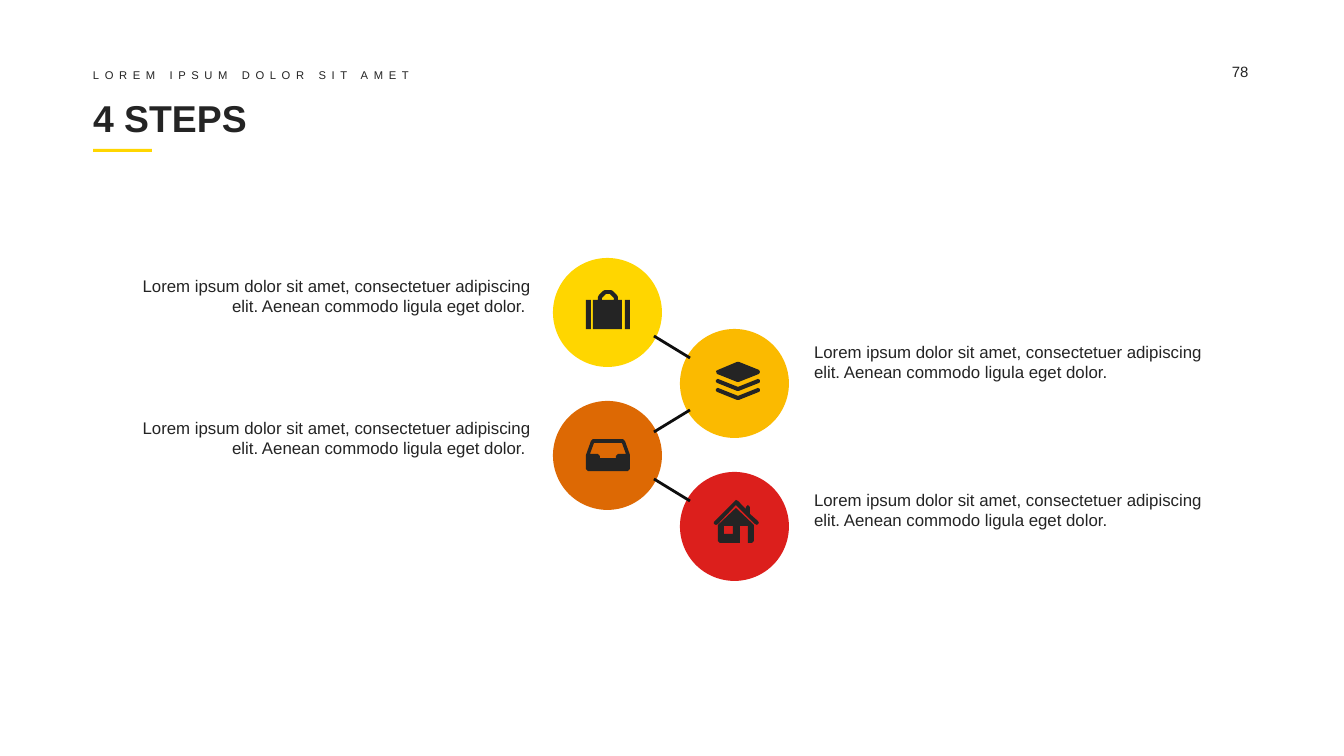
from math import cos, pi, sin

from pptx import Presentation
from pptx.dml.color import RGBColor
from pptx.enum.shapes import MSO_CONNECTOR, MSO_SHAPE
from pptx.enum.text import MSO_ANCHOR as Anchor, PP_ALIGN as Align
from pptx.oxml.ns import qn
from pptx.util import Emu, Pt
from lxml.etree import SubElement

EMU_PER_PX = 914400 / 134.4
FONT = "Arial"
INK = RGBColor(0x24, 0x24, 0x24)
LINK = RGBColor(0x0E, 0x0E, 0x0E)
YELLOW = RGBColor(0xFF, 0xD6, 0x00)
AMBER = RGBColor(0xFB, 0xBA, 0x00)
ORANGE = RGBColor(0xDD, 0x69, 0x04)
RED = RGBColor(0xDC, 0x1F, 0x1C)


def px(*lengths):
    return [Emu(round(length * EMU_PER_PX)) for length in lengths]


def box(left, top, right, bottom):
    """Corner points of a rectangle."""
    return [(left, top), (right, top), (right, bottom), (left, bottom)]


def dome(cx, cy, radius, steps=12):
    """Points of an upper half circle, from left to right."""
    angles = [pi * (1 - i / steps) for i in range(steps + 1)]
    return [(cx + radius * cos(a), cy - radius * sin(a)) for a in angles]


def chevron(top):
    """One lower sheet of the stack, with blunt ends."""
    outline = [(716, 1), (718, 0), (738, 8), (758, 0), (760, 1), (760, 3),
               (759, 4), (739, 12), (737, 12), (717, 4), (716, 3)]
    return [(x, top + y) for x, y in outline]


class SlideBuilder:
    def __init__(self, slide):
        self.shapes = slide.shapes

    def paint(self, shape, color):
        shape.shadow.inherit = False
        shape.fill.solid()
        shape.fill.fore_color.rgb = color
        shape.line.fill.background()

    def preset(self, kind, left, top, width, height, color):
        self.paint(self.shapes.add_shape(kind, *px(left, top, width, height)), color)

    def icon(self, contours):
        """Draw closed contours as one shape; inner contours become holes."""
        first, *others = contours
        builder = self.shapes.build_freeform(*first[0], scale=EMU_PER_PX)
        builder.add_line_segments(first[1:], close=True)
        for contour in others:
            builder.move_to(*contour[0])
            builder.add_line_segments(contour[1:], close=True)
        self.paint(builder.convert_to_shape(), INK)

    def link(self, start, end):
        line = self.shapes.add_connector(MSO_CONNECTOR.STRAIGHT, *px(*start, *end))
        line.line.color.rgb = LINK
        line.line.width = Pt(1.5)
        SubElement(line._element.spPr, qn("a:effectLst"))

    def text(self, words, left, top, width, height, *, size, bold=False,
             align=Align.LEFT, anchor=Anchor.TOP, inset=(0, 0), spacing=None):
        frame = self.shapes.add_textbox(*px(left, top, width, height)).text_frame
        frame.word_wrap = True
        frame.vertical_anchor = anchor
        side, edge = px(*inset)
        frame.margin_left = frame.margin_right = side
        frame.margin_top = frame.margin_bottom = edge
        paragraph = frame.paragraphs[0]
        paragraph.alignment = align
        run = paragraph.add_run()
        run.text = words
        run.font.name = FONT
        run.font.size = Pt(size)
        run.font.bold = bold
        run.font.color.rgb = INK
        if spacing:
            run._r.get_or_add_rPr().set("spc", str(spacing * 100))


SUITCASE = [
    box(586, 300, 591, 329),
    [(593, 329), (593, 300), *dome(608, 300, 10), (622, 300), (622, 329)],
    dome(608, 300, 6),
    box(625, 300, 630, 329),
]
LAYERS = [
    [(716, 371), (718, 370), (737, 362), (739, 362), (759, 370),
     (760, 372), (759, 374), (739, 382), (737, 382), (717, 374)],
    chevron(379),
    chevron(388),
]
INBOX = [
    [(586, 455), (591, 441), (593, 439), (623, 439), (625, 441), (630, 455),
     (630, 469), (628, 471), (588, 471), (586, 469)],
    [(594, 443), (590, 454), (598, 454), (600, 456), (600, 458),
     (616, 458), (616, 456), (618, 454), (626, 454), (622, 443)],
]
HOUSE = [
    [(714, 522), (735, 501), (736, 500), (738, 501), (746, 509), (746, 507),
     (748, 505), (750, 507), (750, 514), (758, 521), (759, 523), (757, 525),
     (755, 524), (736, 505), (718, 524), (716, 525), (714, 524)],
    [(736, 508), (754, 525), (754, 541), (752, 543), (748, 543), (748, 526),
     (740, 526), (740, 543), (720, 543), (718, 541), (718, 525)],
    box(724, 526, 733, 534),
]
STEP_TEXT = ("Lorem ipsum dolor sit amet, consectetuer adipiscing elit. "
             "Aenean commodo ligula eget dolor.")
# circle color, icon, top of the text
STEPS = [(YELLOW, SUITCASE, 271), (AMBER, LAYERS, 337),
         (ORANGE, INBOX, 413), (RED, HOUSE, 485)]
# height of each link's left and right end
LINK_ENDS = [(336, 358), (432, 410), (479, 501)]


def main():
    deck = Presentation()
    deck.slide_width, deck.slide_height = px(1344, 756)
    page = SlideBuilder(deck.slides.add_slide(deck.slide_layouts[6]))

    page.text("LOREM IPSUM DOLOR SIT AMET", 93, 69, 964, 13, size=6,
              anchor=Anchor.MIDDLE, spacing=3)
    page.text("4 STEPS", 93, 93, 1158, 50, size=20, bold=True, anchor=Anchor.MIDDLE)
    page.preset(MSO_SHAPE.RECTANGLE, 93, 149, 59, 3, YELLOW)
    page.text("78", 1232, 63, 58, 22, size=8)

    for i, (color, _, _) in enumerate(STEPS):
        page.preset(MSO_SHAPE.OVAL, 680 if i % 2 else 553, 258 + i * 143 // 2,
                    109, 109, color)
    for left_y, right_y in LINK_ENDS:
        page.link((654, left_y), (690, right_y))
    for i, (_, icon, text_top) in enumerate(STEPS):
        on_right = i % 2
        page.icon(icon)
        page.text(STEP_TEXT if on_right else STEP_TEXT + " ",
                  804 if on_right else 130, text_top, 410, 51, size=9,
                  align=Align.LEFT if on_right else Align.RIGHT, inset=(10, 5))

    deck.save("out.pptx")


if __name__ == "__main__":
    main()
